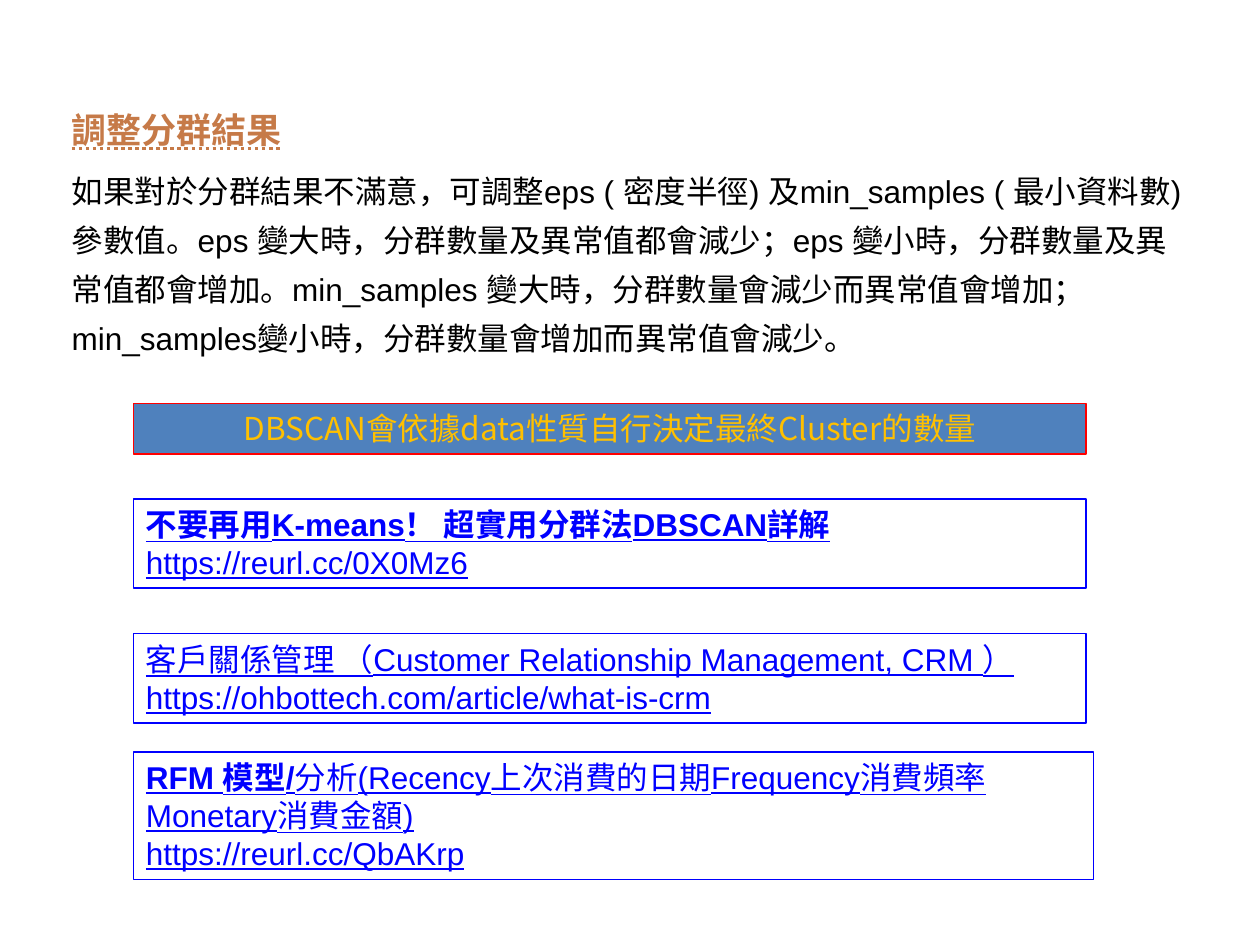
from lxml import etree
from pptx import Presentation
from pptx.dml.color import RGBColor
from pptx.enum.shapes import MSO_SHAPE as Shape
from pptx.enum.text import MSO_ANCHOR as Anchor
from pptx.enum.text import MSO_AUTO_SIZE as AutoSize
from pptx.enum.text import MSO_UNDERLINE as Underline
from pptx.enum.text import PP_ALIGN as Align
from pptx.oxml.ns import qn
from pptx.util import Pt

BLUE = "0000FF"
BOX_LEFT, BOX_WIDTH = 76.3, 544.3
HEADING = "調整分群結果"
ADVICE = (
    "如果對於分群結果不滿意，可調整eps ( 密度半徑) 及min_samples ( 最小資料數)參數值。"
    "eps 變大時，分群數量及異常值都會減少；eps 變小時，分群數量及異常值都會增加。"
    "min_samples 變大時，分群數量會減少而異常值會增加；"
    "min_samples變小時，分群數量會增加而異常值會減少。"
)


def color(value):
    return RGBColor.from_string(value)


def style(para, size, value, name="Arial", bold=None, underline=None):
    font = para.font
    font.size, font.name = Pt(size), name
    font.bold, font.underline = bold, underline
    font.color.rgb = color(value)


def remove_bullet(para):
    properties = para._p.get_or_add_pPr()
    properties.set("marL", "0")
    properties.set("indent", "0")
    etree.SubElement(properties, qn("a:buNone"))


def fill_body(body):
    """Heading and explanation in the body placeholder."""
    body.left, body.top = Pt(33.8), Pt(58.3)
    body.width, body.height = Pt(652.3), Pt(453.6)
    frame = body.text_frame
    frame.auto_size = AutoSize.NONE
    heading, advice = frame.paragraphs[0], frame.add_paragraph()
    for level, (para, text) in enumerate([(heading, HEADING), (advice, ADVICE)], 1):
        para.level = level
        para.add_run().text = text
        remove_bullet(para)
    heading.space_before = Pt(0)
    advice.space_before = Pt(6)
    advice.line_spacing = Pt(28)
    style(heading, 20, "C67A48", bold=True, underline=Underline.DOTTED_HEAVY_LINE)
    style(advice, 18, "000000", bold=False, underline=False)


def add_box(slide, top, height, line, fill=None, width=BOX_WIDTH):
    """Outlined rectangle; returns its text frame."""
    box = slide.shapes.add_shape(
        Shape.RECTANGLE, Pt(BOX_LEFT), Pt(top), Pt(width), Pt(height))
    box.shadow.inherit = False
    box.line.color.rgb = color(line)
    box.line.width = Pt(0.75)
    if fill:
        box.fill.solid()
        box.fill.fore_color.rgb = color(fill)
    else:
        box.fill.background()
    frame = box.text_frame
    frame.word_wrap = True
    frame.auto_size = AutoSize.SHAPE_TO_FIT_TEXT
    frame.vertical_anchor = Anchor.TOP
    return frame


def add_link_box(slide, top, height, title_spans, address, width=BOX_WIDTH):
    """Reference box: a title of (text, bold) spans above its address."""
    frame = add_box(slide, top, height, BLUE, width=width)
    title, link = frame.paragraphs[0], frame.add_paragraph()
    for text, bold in title_spans:
        span = title.add_run()
        span.text, span.font.bold = text, bold
    link.add_run().text = address
    for para in (title, link):
        para.alignment = Align.LEFT
        style(para, 18, BLUE, underline=True)


def add_banner(slide):
    para = add_box(slide, 230.4, 29.1, "FF0000", "4F81BD").paragraphs[0]
    para.add_run().text = "DBSCAN會依據data性質自行決定最終Cluster的數量"
    para.alignment = Align.CENTER
    style(para, 18, "FFC000", "Noto Sans CJK SC")


def main():
    deck = Presentation()
    deck.slide_width, deck.slide_height = Pt(720), Pt(540)
    page = deck.slides.add_slide(deck.slide_layouts[1])

    # The page has no title, only body text
    title = page.shapes.title.element
    title.getparent().remove(title)
    fill_body(page.placeholders[1])

    # Key message
    add_banner(page)

    # Further reading
    add_link_box(page, 285.1, 50.9,
                 [("不要再用K-means！ 超實用分群法DBSCAN詳解", True)],
                 "https://reurl.cc/0X0Mz6")
    add_link_box(page, 362.2, 50.9,
                 [("客戶關係管理 （Customer Relationship Management, CRM ）", False)],
                 "https://ohbottech.com/article/what-is-crm")
    add_link_box(page, 429.8, 72.7,
                 [("RFM 模型/", True),
                  ("分析(Recency上次消費的日期Frequency消費頻率Monetary消費金額)", False)],
                 "https://reurl.cc/QbAKrp", width=548.6)

    deck.save("out.pptx")


if __name__ == "__main__":
    main()
